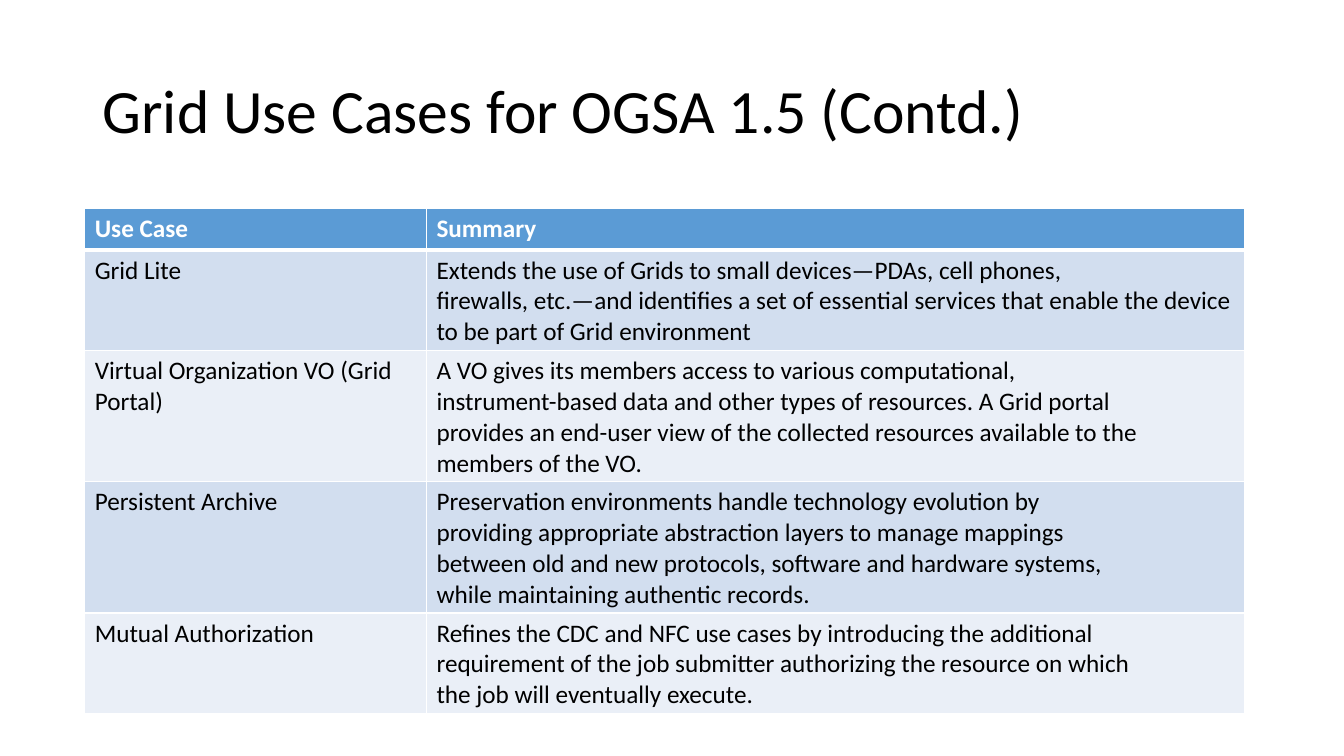
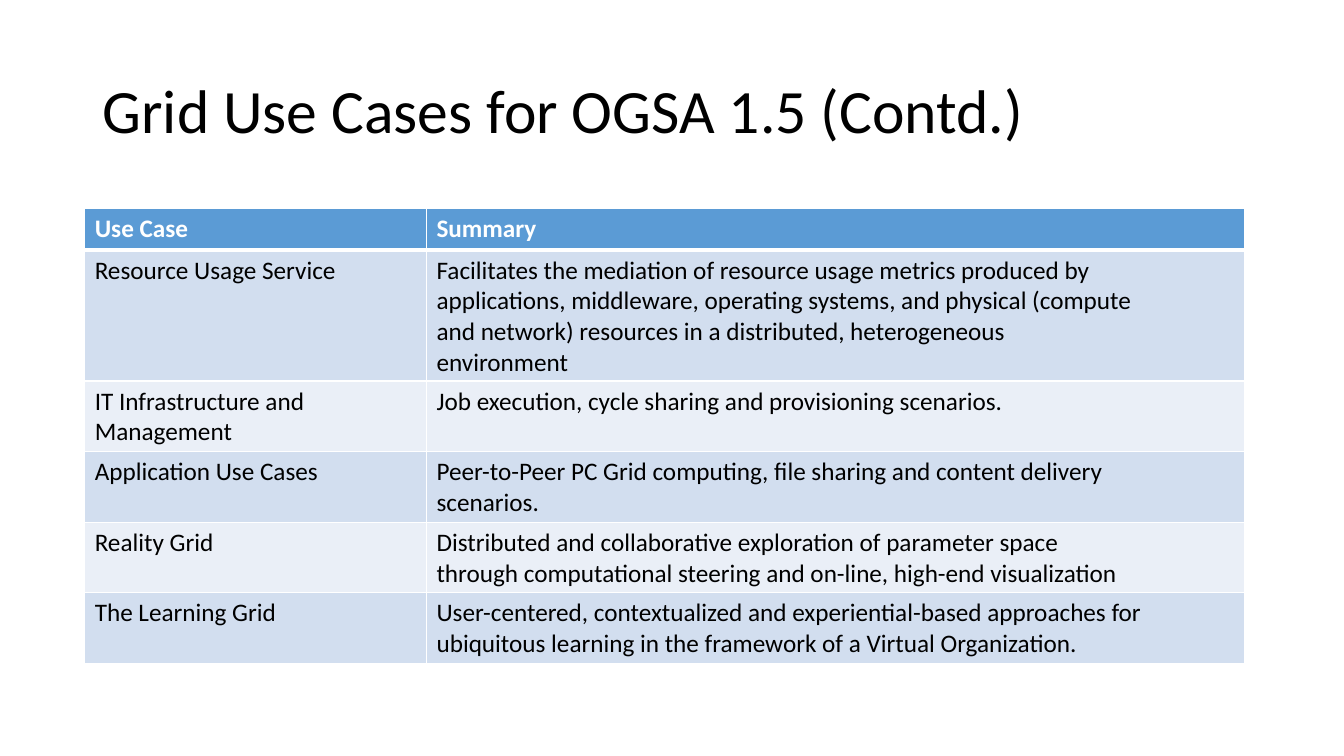
from dataclasses import dataclass

from lxml.etree import SubElement
from pptx import Presentation
from pptx.dml.color import RGBColor
from pptx.enum.text import MSO_ANCHOR
from pptx.oxml.ns import qn
from pptx.presentation import Presentation as Deck
from pptx.slide import Slide
from pptx.table import _Cell as Cell
from pptx.text.text import TextFrame
from pptx.util import Inches, Pt

FONT = "Calibri"
BLACK, WHITE = "000000", "FFFFFF"
HEADER_FILL = "5B9BD5"
BAND_FILLS = ("D2DEEF", "EAEFF7")
TITLE = "Grid Use Cases for OGSA 1.5 (Contd.)"
COLUMN_WIDTHS = (3.39, 8.11)
ROW_HEIGHT = 0.41
THIN, THICK = 1, 3


@dataclass(frozen=True)
class UseCase:
    name: str
    summary: str


HEADER = UseCase("Use Case", "Summary")

PAGES = (
    (
        UseCase(
            "Grid Lite",
            "Extends the use of Grids to small devices—PDAs, cell phones,\n"
            "firewalls, etc.—and identifies a set of essential services "
            "that enable the device to be part of Grid environment",
        ),
        UseCase(
            "Virtual Organization VO (Grid Portal)",
            "A VO gives its members access to various computational,\n"
            "instrument-based data and other types of resources. A Grid portal\n"
            "provides an end-user view of the collected resources available to the\n"
            "members of the VO.",
        ),
        UseCase(
            "Persistent Archive",
            "Preservation environments handle technology evolution by\n"
            "providing appropriate abstraction layers to manage mappings\n"
            "between old and new protocols, software and hardware systems,\n"
            "while maintaining authentic records.",
        ),
        UseCase(
            "Mutual Authorization",
            "Refines the CDC and NFC use cases by introducing the additional\n"
            "requirement of the job submitter authorizing the resource on which\n"
            "the job will eventually execute.",
        ),
    ),
    (
        UseCase(
            "Resource Usage Service",
            "Facilitates the mediation of resource usage metrics produced by\n"
            "applications, middleware, operating systems, and physical (compute\n"
            "and network) resources in a distributed, heterogeneous\n"
            "environment",
        ),
        UseCase(
            "IT Infrastructure and Management",
            "Job execution, cycle sharing and provisioning scenarios.",
        ),
        UseCase(
            "Application Use Cases",
            "Peer-to-Peer PC Grid computing, file sharing and content delivery\n"
            "scenarios.",
        ),
        UseCase(
            "Reality Grid",
            "Distributed and collaborative exploration of parameter space\n"
            "through computational steering and on-line, high-end visualization",
        ),
        UseCase(
            "The Learning Grid",
            "User-centered, contextualized and experiential-based approaches for\n"
            "ubiquitous learning in the framework of a Virtual Organization.",
        ),
    ),
)


def color(value: str) -> RGBColor:
    return RGBColor.from_string(value)


def write(frame: TextFrame, text: str, size: int, ink: str, bold: bool = False) -> None:
    frame.text = text
    for para in frame.paragraphs:
        for span in para.runs:
            span.font.name = FONT
            span.font.size = Pt(size)
            span.font.bold = bold
            span.font.color.rgb = color(ink)


def add_title(page: Slide) -> None:
    box = page.shapes.add_textbox(Inches(0.92), Inches(0.4), Inches(11.5), Inches(1.45))
    frame = box.text_frame
    frame.word_wrap = True
    frame.vertical_anchor = MSO_ANCHOR.MIDDLE
    write(frame, TITLE, 44, BLACK)
    frame.paragraphs[0].line_spacing = 0.9


def set_borders(cell: Cell, top: int, bottom: int) -> None:
    properties = cell._tc.get_or_add_tcPr()
    for side, width in (("L", THIN), ("R", THIN), ("T", top), ("B", bottom)):
        line = SubElement(properties, qn(f"a:ln{side}"), w=str(Pt(width)))
        fill = SubElement(line, qn("a:solidFill"))
        SubElement(fill, qn("a:srgbClr"), val=WHITE)


def add_use_case_table(page: Slide, cases: tuple[UseCase, ...]) -> None:
    entries = (HEADER, *cases)
    table = page.shapes.add_table(
        len(entries), len(COLUMN_WIDTHS), Inches(0.84), Inches(2.07),
        Inches(sum(COLUMN_WIDTHS)), Inches(ROW_HEIGHT * len(entries)),
    ).table
    for column, width in zip(table.columns, COLUMN_WIDTHS):
        column.width = Inches(width)
    for index, (row, entry) in enumerate(zip(table.rows, entries)):
        row.height = Inches(ROW_HEIGHT)
        is_header = index == 0
        band = HEADER_FILL if is_header else BAND_FILLS[(index - 1) % 2]
        for cell, text in zip(row.cells, (entry.name, entry.summary)):
            set_borders(cell, THICK if index == 1 else THIN, THICK if is_header else THIN)
            cell.fill.solid()
            cell.fill.fore_color.rgb = color(band)
            write(cell.text_frame, text, 18, WHITE if is_header else BLACK, is_header)


def build_deck() -> Deck:
    """Build the use case slides, one table on each."""
    deck = Presentation()
    deck.slide_width, deck.slide_height = Inches(13.33), Inches(7.5)
    for cases in PAGES:
        page = deck.slides.add_slide(deck.slide_layouts[6])
        add_title(page)
        add_use_case_table(page, cases)
    return deck


if __name__ == "__main__":
    build_deck().save("out.pptx")
